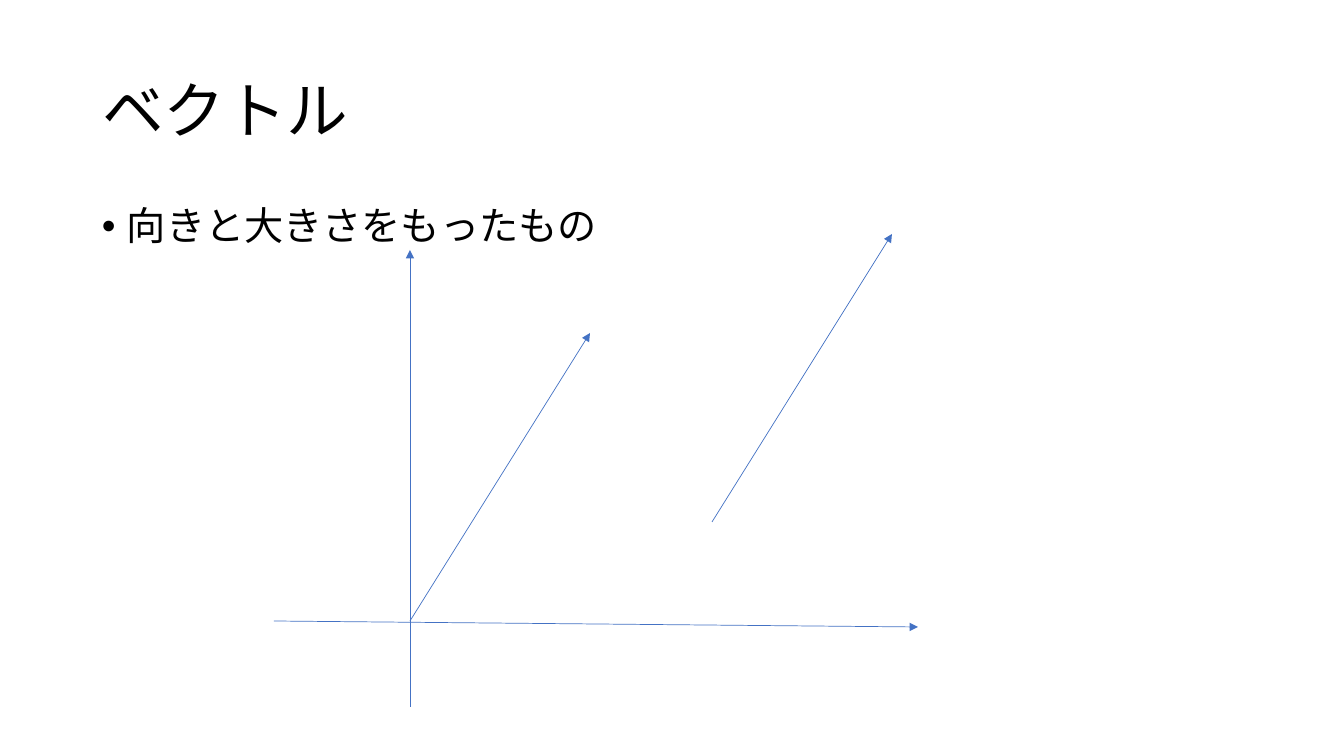
from lxml.etree import SubElement
from pptx import Presentation
from pptx.dml.color import RGBColor
from pptx.enum.shapes import MSO_CONNECTOR
from pptx.enum.text import MSO_ANCHOR, PP_ALIGN
from pptx.oxml.ns import qn
from pptx.util import Pt

TITLE = "ベクトル"
POINT = "向きと大きさをもったもの"
FONT = "Noto Sans CJK JP"
COLORS = {"text": "000000", "line": "4472C4"}

# Lengths in px
SIZE = (1344, 756)
TITLE_BOX = (92, 41, 1159, 146)
BODY_BOX = (92, 202, 1159, 480)
INDENT = 25
AXES = [((274, 621), (918, 627)), ((410, 707), (410, 250))]
VECTORS = [((410, 621), (590, 333)), ((712, 522), (892, 234))]


def px(n):
    return round(n * 914400 / 100.8)


def color(name):
    return RGBColor.from_string(COLORS[name])


def style(par, size):
    par.alignment = PP_ALIGN.LEFT
    par.line_spacing = 0.9
    font = par.font
    font.name = FONT
    font.size = Pt(size)
    font.color.rgb = color("text")
    props = par._p.pPr.find(qn("a:defRPr"))
    SubElement(props, qn("a:ea"), typeface=FONT)


def bullet(par):
    props = par._p.get_or_add_pPr()
    props.set("marL", str(px(INDENT)))
    props.set("indent", str(px(-INDENT)))
    SubElement(props, qn("a:buFont"), typeface="Arial")
    SubElement(props, qn("a:buChar"), char="•")


def arrow(slide, start, end):
    ends = [px(n) for n in start + end]
    shape = slide.shapes.add_connector(MSO_CONNECTOR.STRAIGHT, *ends)
    shape.line.color.rgb = color("line")
    shape.line.width = Pt(0.5)
    props = shape._element.spPr
    SubElement(props.find(qn("a:ln")), qn("a:tailEnd"), type="triangle")
    SubElement(props, qn("a:effectLst"))


def main():
    deck = Presentation()
    deck.slide_width, deck.slide_height = map(px, SIZE)
    slide = deck.slides.add_slide(deck.slide_layouts[5])

    title = slide.shapes.title
    title.left, title.top, title.width, title.height = map(px, TITLE_BOX)
    title.text_frame.text = TITLE
    title.text_frame.vertical_anchor = MSO_ANCHOR.MIDDLE
    style(title.text_frame.paragraphs[0], 44)

    body = slide.shapes.add_textbox(*map(px, BODY_BOX)).text_frame
    body.word_wrap = True
    body.text = POINT
    bullet(body.paragraphs[0])
    style(body.paragraphs[0], 28)

    for start, end in AXES + VECTORS:
        arrow(slide, start, end)
    deck.save("out.pptx")


if __name__ == "__main__":
    main()
